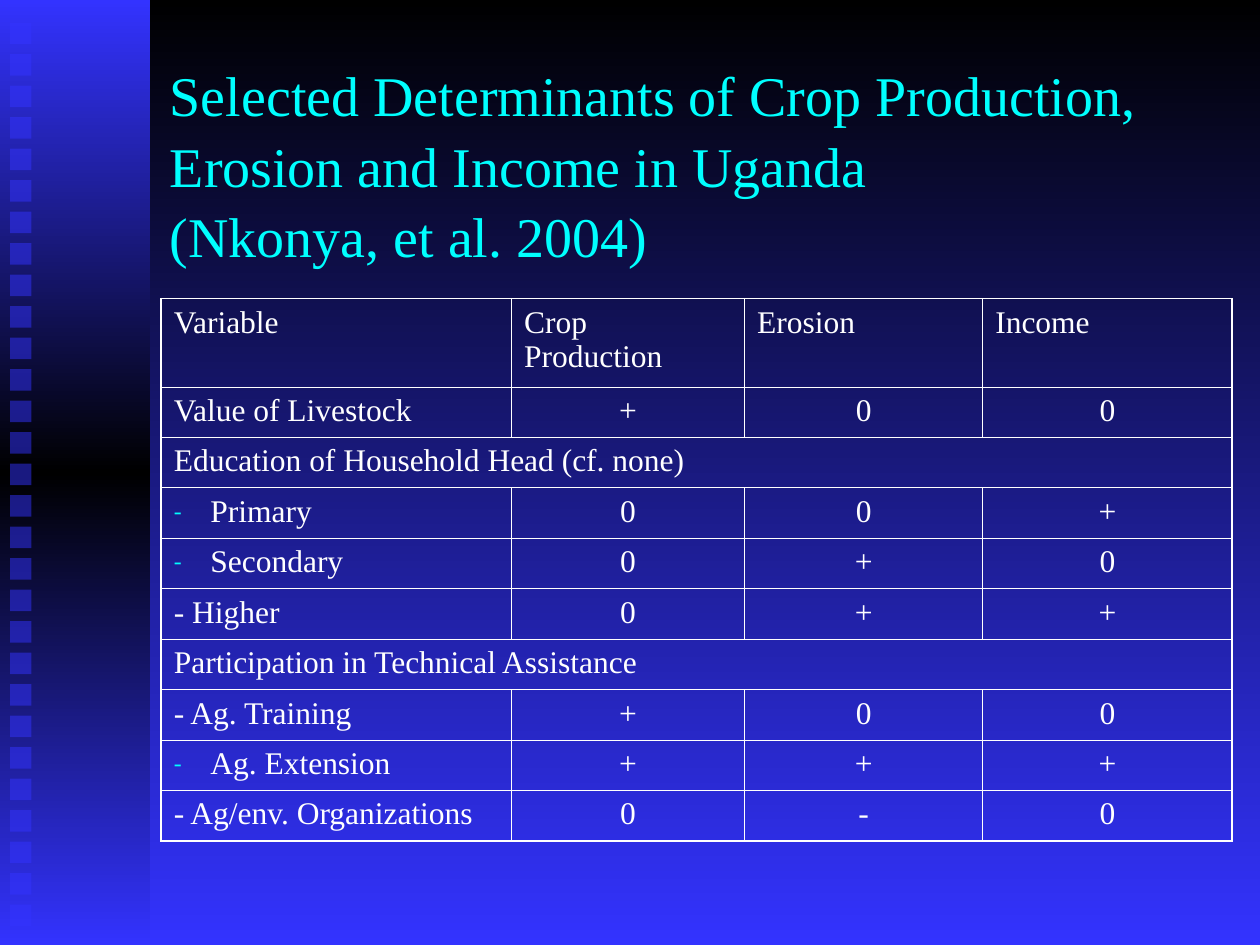
from lxml.etree import SubElement
from pptx import Presentation
from pptx.dml.color import RGBColor
from pptx.enum.shapes import MSO_SHAPE as Shape
from pptx.enum.text import MSO_ANCHOR as Anchor, PP_ALIGN as Align
from pptx.oxml import parse_xml
from pptx.oxml.ns import nsdecls, qn
from pptx.util import Inches, Pt

FONT = "Times New Roman"
BLACK, BLUE, CYAN, WHITE = "000000", "3333FF", "00FFFF", "FFFFFF"
TITLE = ("Selected Determinants of Crop Production, Erosion and Income in Uganda\v"
         "(Nkonya, et al. 2004)")
COL_WIDTHS = [2.78, 1.85, 1.89, 1.98]
ROWS = [
    ["Variable", "Crop Production", "Erosion", "Income"],
    ["Value of Livestock", "+", "0", "0"],
    ["Education of Household Head (cf. none)"],
    ["Primary", "0", "0", "+"],
    ["Secondary", "0", "+", "0"],
    ["- Higher", "0", "+", "+"],
    ["Participation in Technical Assistance"],
    ["- Ag. Training", "+", "0", "0"],
    ["Ag. Extension", "+", "+", "+"],
    ["- Ag/env. Organizations", "0", "-", "0"],
]
BULLETED = {"Primary", "Secondary", "Ag. Extension"}


def rgb(color):
    return RGBColor.from_string(color)


def set_gradient(fill, element, colors):
    fill.gradient()
    fill.gradient_angle = 270
    stops = element.find(".//" + qn("a:gsLst"))
    for stop in list(stops):
        stops.remove(stop)
    for i, color in enumerate(colors):
        pos = 100000 * i // (len(colors) - 1)
        stop = SubElement(stops, qn("a:gs"), pos=str(pos))
        SubElement(stop, qn("a:srgbClr"), val=color)


def add_rect(slide, left, top, width, height):
    sp = slide.shapes.add_shape(Shape.RECTANGLE, Inches(left), Inches(top),
                                Inches(width), Inches(height))
    sp.shadow.inherit = False
    sp.line.fill.background()
    return sp


def add_side_band(slide):
    band = add_rect(slide, 0, 0, 1.19, 7.5)
    set_gradient(band.fill, band.element, [BLUE, BLACK, BLUE])
    for i in range(29):
        square = add_rect(slide, 0.08, 0.18 + 0.25 * i, 0.17, 0.17)
        square.fill.solid()
        square.fill.fore_color.rgb = rgb(BLUE)
        color = square.element.spPr.find(".//" + qn("a:srgbClr"))
        SubElement(color, qn("a:alpha"), val="50000")


def format_text(p, size, color):
    for r in p.runs:
        r.font.name = FONT
        r.font.size = Pt(size)
        r.font.color.rgb = rgb(color)


def add_title(slide):
    box = slide.shapes.add_textbox(Inches(1.25), Inches(0.67), Inches(8.5), Inches(1.25))
    tf = box.text_frame
    tf.word_wrap = True
    tf.vertical_anchor = Anchor.MIDDLE
    p = tf.paragraphs[0]
    p.text = TITLE
    p.line_spacing = 1.05
    format_text(p, 32, CYAN)


def add_bullet(p):
    pPr = p._p.get_or_add_pPr()
    pPr.set("marL", str(Inches(0.29)))
    pPr.set("indent", str(-Inches(0.29)))
    color = SubElement(pPr, qn("a:buClr"))
    SubElement(color, qn("a:srgbClr"), val=CYAN)
    SubElement(pPr, qn("a:buSzPct"), val="75000")
    SubElement(pPr, qn("a:buFont"), typeface=FONT)
    SubElement(pPr, qn("a:buChar"), char="-")


def set_borders(cell, outer):
    tcPr = cell._tc.get_or_add_tcPr()
    for i, side in enumerate("LRTB"):
        width = Pt(1.08 if side in outer else 0.45)
        tcPr.insert(i, parse_xml(
            f'<a:ln{side} {nsdecls("a")} w="{width}"><a:solidFill>'
            f'<a:srgbClr val="{WHITE}"/></a:solidFill></a:ln{side}>'))


def outer_sides(row, col):
    edges = {"L": col == 0, "R": col == len(COL_WIDTHS) - 1 or len(ROWS[row]) == 1,
             "T": row == 0, "B": row == len(ROWS) - 1}
    return [side for side, on_edge in edges.items() if on_edge]


def fill_cell(cell, text, centered):
    p = cell.text_frame.paragraphs[0]
    p.text = text
    if text in BULLETED:
        add_bullet(p)
    p.alignment = Align.CENTER if centered else Align.LEFT
    format_text(p, 18, WHITE)


def add_determinants_table(slide):
    last = len(COL_WIDTHS) - 1
    frame = slide.shapes.add_table(len(ROWS), len(COL_WIDTHS), Inches(1.28), Inches(2.37),
                                   Inches(8.5), Inches(4.3))
    table = frame.table
    table.first_row = table.horz_banding = False
    for column, width in zip(table.columns, COL_WIDTHS):
        column.width = Inches(width)
    for r, texts in enumerate(ROWS):
        table.rows[r].height = Inches(0.7 if r == 0 else 0.4)
        for c in range(last + 1):
            cell = table.cell(r, c)
            cell.fill.background()
            set_borders(cell, outer_sides(r, c))
        if len(texts) == 1:
            table.cell(r, 0).merge(table.cell(r, last))
        for c, text in enumerate(texts):
            fill_cell(table.cell(r, c), text, r > 0 and c > 0)


def main():
    prs = Presentation()
    prs.slide_width, prs.slide_height = Inches(10), Inches(7.5)
    slide = prs.slides.add_slide(prs.slide_layouts[6])
    set_gradient(slide.background.fill, slide.element, [BLACK, BLUE])
    add_side_band(slide)
    add_title(slide)
    add_determinants_table(slide)
    prs.save("out.pptx")


if __name__ == "__main__":
    main()
